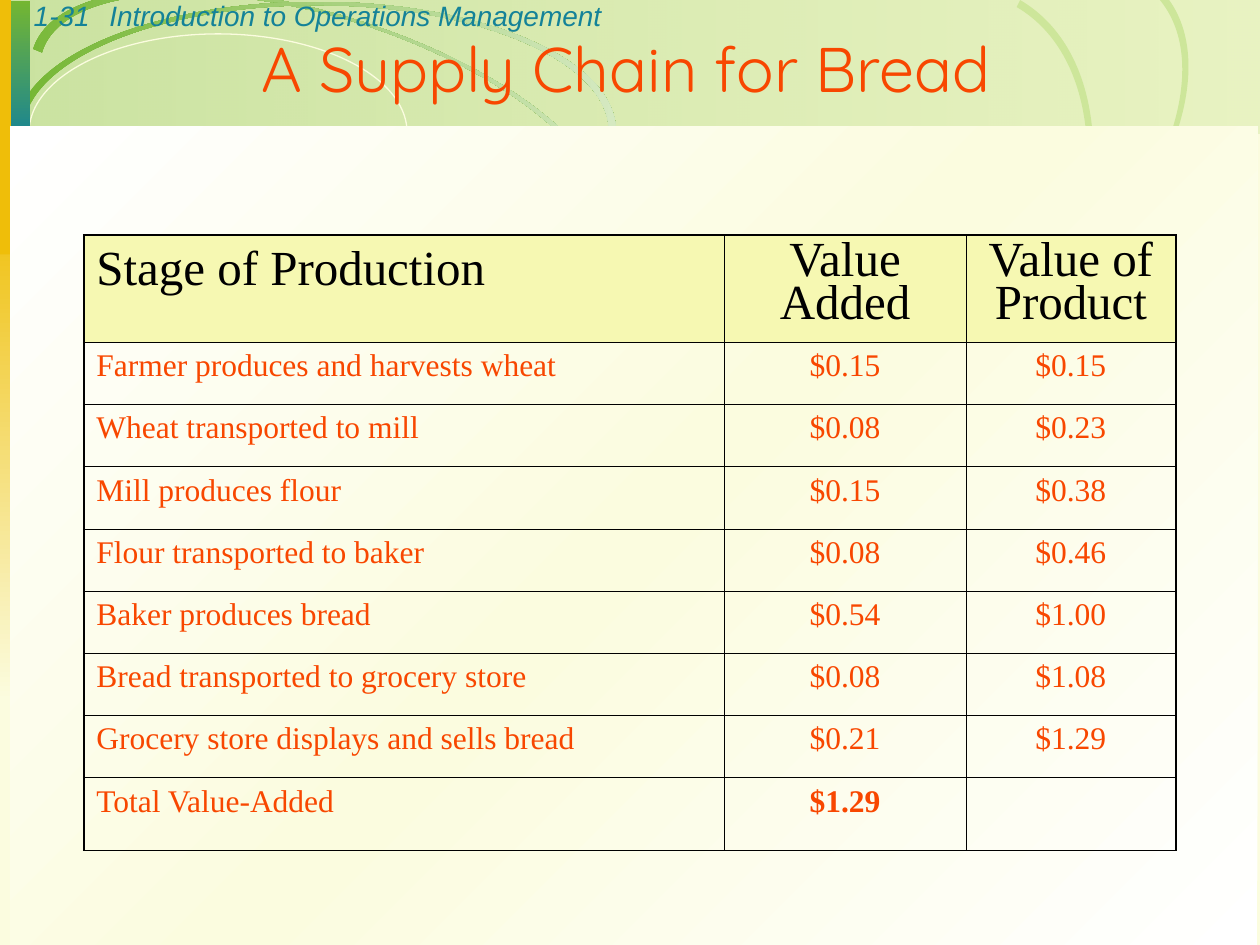
"""Build the slide showing the value added along a supply chain for bread."""
from dataclasses import dataclass
from math import cos, radians, sin

from lxml.etree import SubElement
from pptx import Presentation
from pptx.dml.color import RGBColor
from pptx.enum.shapes import MSO_SHAPE
from pptx.enum.text import MSO_ANCHOR, MSO_AUTO_SIZE, PP_ALIGN
from pptx.oxml.ns import qn
from pptx.util import Pt

GREEN, PALE, LIME = "74B632", "D5E9C1", "CDE69A"
TEAL, GOLD, CREAM, RED, BLACK = "148298", "EFBE09", "FBFCDF", "F84700", "000000"
HEAD, WHITE = "F6F8B2", "FFFFFF"
THICK, THIN = 1.08, 0.45


@dataclass(frozen=True)
class Block:
    """A filled rectangle; box is left, top, width, height."""
    box: tuple
    hues: tuple
    turn: int = 0
    clear: tuple = ()


@dataclass(frozen=True)
class Sweep:
    """A curved band between two runs of Bezier points, in a turned box."""
    box: tuple
    spin: float
    outer: tuple
    inner: tuple
    hues: tuple
    turn: int = 0


@dataclass(frozen=True)
class Label:
    """A line of text in its own box."""
    box: tuple
    text: str


BANNER = Block((0.7, 0, 719.3, 76.3), (GREEN, "BCDD7B"), 0, (36, 29))
SIDE = Block((0, 111.6, 15.8, 288.7), (GOLD, CREAM), 90)
TAB = Block((0.7, 0.7, 16.6, 82), (GREEN, TEAL), 90)
STRIPE = Block((0, 0, 6.2, 145.4), (GOLD,))
PANEL = Block((5.8, 72.2, 712.8, 467.8), (WHITE, CREAM, WHITE), 45)
OVAL = (16.6, 19.4, 216, 112.3)

TILT = Sweep(
    (11.5, 7.9, 343.4, 143.3), 17.5,
    ((24, 30), (35, -7), (116, -14), (204, 13), (292, 41), (354, 93), (343, 130)),
    ((347, 131), (359, 94), (295, 40), (204, 11.5), (114, -17), (31, -10), (19, 28)),
    (GREEN, PALE), 342)
FAR = Sweep(
    (365, 17.3, 343.4, 186.5), 318.2,
    ((413, 222), (446, 259), (528, 240), (598, 179), (666, 117), (695, 37), (662, -1)),
    ((665, -4), (699, 35), (670, 117), (599, 180), (528, 243), (444, 264), (409, 225)),
    (LIME,))
NEAR = Sweep(
    (324, 37.4, 343.4, 220.3), 300.7,
    ((410, 291), (462, 321), (541, 282), (588, 202), (635, 123), (632, 34), (581, 4)),
    ((583, 0), (636, 31), (639, 122), (590, 204), (542, 285), (460, 326), (408, 295)),
    (LIME,))
ARCH = Sweep(
    (8.6, 0.7, 343.4, 149), 0,
    ((13.5, 75), (13.5, 35), (89, 3), (181, 3), (273, 3), (348, 35), (348, 75)),
    ((352, 75), (352, 34), (276, 1), (181, 1), (86, 1), (9, 34), (9, 75)),
    (GREEN, PALE))

LABELS = (
    Label((12.2, -4.3, 66.2, 26.6), "1-31"),
    Label((55.4, -4.3, 624.2, 26.6), "Introduction to Operations Management"),
)
ROWS = (
    ("Stage of Production", "Value Added", "Value of Product"),
    ("Farmer produces and harvests wheat", "$0.15", "$0.15"),
    ("Wheat transported to mill", "$0.08", "$0.23"),
    ("Mill produces flour", "$0.15", "$0.38"),
    ("Flour transported to baker", "$0.08", "$0.46"),
    ("Baker produces bread", "$0.54", "$1.00"),
    ("Bread transported to grocery store", "$0.08", "$1.08"),
    ("Grocery store displays and sells bread", "$0.21", "$1.29"),
    ("Total Value-Added", "$1.29", ""),
)
WIDTHS = (365.9, 138.2, 119.9)
HEIGHTS = (61.2, *[35.55] * 7, 41.6)
SPOT = (47.9, 134.4)


def tint(code: str) -> RGBColor:
    """Turn a hex string into a colour."""
    return RGBColor.from_string(code)


def place(box: tuple) -> list:
    """Turn a box in points into lengths."""
    return [Pt(value) for value in box]


def paint(shape, hues: tuple, turn: int = 0, clear: tuple = ()) -> None:
    """Fill a shape with one hue or an even gradient and drop line and shadow."""
    shape.shadow.inherit = False
    shape.line.fill.background()
    if len(hues) == 1:
        shape.fill.solid()
        shape.fill.fore_color.rgb = tint(hues[0])
        return
    shape.fill.gradient()
    shape.fill.gradient_angle = -turn % 360
    stops = next(shape._element.spPr.iter(qn("a:gsLst")))
    stops[:] = []
    for rank, hue in enumerate(hues):
        stop = SubElement(stops, qn("a:gs"), pos=str(100000 * rank // (len(hues) - 1)))
        color = SubElement(stop, qn("a:srgbClr"), val=hue)
        if clear:
            SubElement(color, qn("a:alpha"), val=str(clear[rank] * 1000))


def block(slide, item: Block) -> None:
    """Draw a rectangle."""
    shape = slide.shapes.add_shape(MSO_SHAPE.RECTANGLE, *place(item.box))
    paint(shape, item.hues, item.turn, item.clear)


def local(knot: tuple, item: Sweep) -> tuple:
    """Turn a slide point back into the frame of the band's box."""
    left, top, width, height = item.box
    x, y = knot[0] - left - width / 2, knot[1] - top - height / 2
    c, s = cos(radians(item.spin)), sin(radians(item.spin))
    return Pt(x * c + y * s + width / 2), Pt(y * c - x * s + height / 2)


def sweep(slide, item: Sweep) -> None:
    """Draw a curved band with cubic edges."""
    dots = [local(knot, item) for knot in item.outer + item.inner]
    pen = slide.shapes.build_freeform(*dots[0])
    pen.add_line_segments(dots[1:], close=True)
    shape = pen.convert_to_shape()
    shape.left, shape.top, shape.width, shape.height = place(item.box)
    shape.rotation = item.spin
    track = next(shape._element.spPr.iter(qn("a:path")))
    track.set("w", str(shape.width))
    track.set("h", str(shape.height))
    track[:] = []
    half = len(item.outer)
    moves = (("moveTo", 0, 1), ("cubicBezTo", 1, 4), ("cubicBezTo", 4, half),
             ("lnTo", half, half + 1), ("cubicBezTo", half + 1, half + 4),
             ("cubicBezTo", half + 4, 2 * half), ("close", 0, 0))
    for kind, start, stop in moves:
        move = SubElement(track, qn(f"a:{kind}"))
        for x, y in dots[start:stop]:
            SubElement(move, qn("a:pt"), x=str(x), y=str(y))
    paint(shape, item.hues, item.turn)


def oval(slide, box: tuple) -> None:
    """Draw the thin outlined ellipse."""
    shape = slide.shapes.add_shape(MSO_SHAPE.OVAL, *place(box))
    shape.shadow.inherit = False
    shape.fill.background()
    shape.line.color.rgb = tint(CREAM)
    shape.line.width = Pt(0.75)


def write(frame, text: str, *, size: float, font: str, color: str, bold=False,
          slant=False, align=PP_ALIGN.LEFT, lead=1.0, gap=0.0) -> None:
    """Put formatted text into a frame."""
    frame.word_wrap = True
    para = frame.paragraphs[0]
    para.alignment, para.line_spacing, para.space_before = align, lead, Pt(gap)
    run = para.add_run()
    run.text = text
    run.font.size, run.font.name = Pt(size), font
    run.font.bold, run.font.italic = bold, slant
    run.font.color.rgb = tint(color)


def edge(cell, sides: dict) -> None:
    """Set the border widths of a cell."""
    props = cell._tc.get_or_add_tcPr()
    for rank, (side, width) in enumerate(sides.items()):
        line = SubElement(props, qn(f"a:ln{side}"), w=str(Pt(width)))
        SubElement(SubElement(line, qn("a:solidFill")), qn("a:srgbClr"), val=BLACK)
        props.insert(rank, line)


def grid(slide) -> None:
    """Draw the table of stages and values."""
    size = (sum(WIDTHS), sum(HEIGHTS))
    table = slide.shapes.add_table(len(ROWS), len(WIDTHS), *place(SPOT + size)).table
    table.first_row = table.horz_banding = False
    for col, width in zip(table.columns, WIDTHS):
        col.width = Pt(width)
    for row, height in zip(table.rows, HEIGHTS):
        row.height = Pt(height)
    last, end = len(ROWS) - 1, len(WIDTHS) - 1
    for r, texts in enumerate(ROWS):
        for c, text in enumerate(texts):
            cell = table.cell(r, c)
            if r:
                cell.fill.background()
                look = dict(size=18, color=RED, gap=4.5, bold=r == last and c == 1)
            else:
                cell.fill.solid()
                cell.fill.fore_color.rgb = tint(HEAD)
                look = dict(size=28, color=BLACK, gap=(7, 3.5, 5.2)[c],
                            lead=0.8 if c else 1.0)
            if text:
                write(cell.text_frame, text, font="Times New Roman",
                      align=PP_ALIGN.CENTER if c else PP_ALIGN.LEFT, **look)
            outer = {"L": c == 0, "R": c == end, "T": r == 0, "B": r == last}
            edge(cell, {side: THICK if rim else THIN for side, rim in outer.items()})


def head(slide) -> None:
    """Fill the title and bring it to the front."""
    title = slide.shapes.title
    title.left, title.top, title.width, title.height = place((0, 13.3, 715.7, 50.4))
    frame = title.text_frame
    frame.auto_size, frame.vertical_anchor = MSO_AUTO_SIZE.NONE, MSO_ANCHOR.TOP
    write(frame, "A Supply Chain for Bread", size=36, font="Quicksand", color=RED,
          align=PP_ALIGN.CENTER)
    slide.shapes._spTree.append(title._element)


def main() -> None:
    """Build and save the slide."""
    deck = Presentation()
    deck.slide_width, deck.slide_height = Pt(720), Pt(540)
    slide = deck.slides.add_slide(deck.slide_layouts[5])
    slide.background.fill.solid()
    slide.background.fill.fore_color.rgb = tint(CREAM)
    block(slide, BANNER)
    sweep(slide, TILT)
    oval(slide, OVAL)
    block(slide, SIDE)
    for item in (FAR, NEAR, ARCH):
        sweep(slide, item)
    for item in (TAB, STRIPE, PANEL):
        block(slide, item)
    for item in LABELS:
        box = slide.shapes.add_textbox(*place(item.box))
        write(box.text_frame, item.text, size=16, font="Arial", color=TEAL, slant=True)
    grid(slide)
    head(slide)
    deck.save("out.pptx")


if __name__ == "__main__":
    main()
